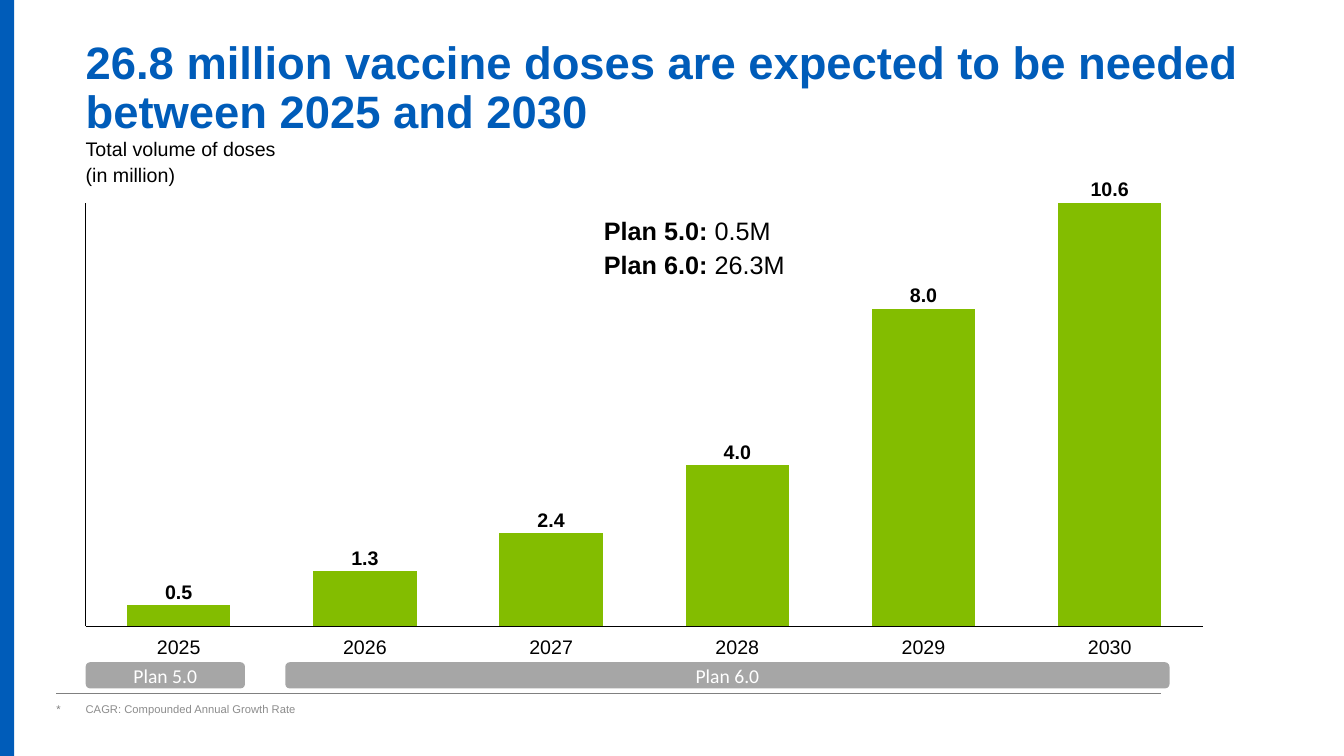
from lxml import etree
from pptx import Presentation
from pptx.chart.data import CategoryChartData
from pptx.dml.color import RGBColor
from pptx.enum.chart import XL_CHART_TYPE, XL_TICK_LABEL_POSITION, XL_TICK_MARK
from pptx.enum.shapes import MSO_CONNECTOR, MSO_SHAPE
from pptx.enum.text import MSO_ANCHOR, MSO_AUTO_SIZE, PP_ALIGN
from pptx.oxml import parse_xml
from pptx.oxml.ns import nsdecls, qn
from pptx.util import Inches, Pt

TITLE = "26.8 million vaccine doses are expected to be needed between 2025 and 2030"
AXIS_TITLE = ["Total volume of doses", "(in million)"]
# Year, doses shown, bar height as a share of the axis
DOSES = [
    ("2025", "0.5", 5),
    ("2026", "1.3", 13),
    ("2027", "2.4", 22),
    ("2028", "4.0", 38),
    ("2029", "8.0", 75),
    ("2030", "10.6", 100),
]
TOTALS = [("Plan 5.0: ", "0.5M"), ("Plan 6.0: ", "26.3M")]
PERIODS = [("Plan 5.0", 0.85, 1.58), ("Plan 6.0", 2.83, 8.77)]
FOOTNOTE = ("*", "CAGR: Compounded Annual Growth Rate")

CHART = (0.76, 1.92, 11.26, 4.38)
PLOT = {"x": 0.008, "y": 0.021, "w": 0.984, "h": 0.959}
LABEL_H = 0.26
LABEL_W = 0.6


class Theme:
    blue = RGBColor.from_string("005CB9")
    green = RGBColor.from_string("83BD00")
    black = RGBColor.from_string("000000")
    white = RGBColor.from_string("FFFFFF")
    pill = RGBColor.from_string("A6A6A6")
    rule = RGBColor.from_string("808080")
    note = RGBColor.from_string("8C8C8C")
    font, pill_font = "Arial", "Calibri"
    title, totals, label, small = 32.4, 18, 14, 8


def style(font, size, color, bold=False, name=Theme.font):
    font.name, font.size, font.bold = name, Pt(size), bold
    font.color.rgb = color


def add_text(slide, box, lines, size=Theme.label, color=Theme.black, bold=False,
             align=PP_ALIGN.LEFT, anchor=MSO_ANCHOR.TOP, spacing=1.1, top=0):
    """Add a text box; a line is a string or a (bold lead, plain rest) pair."""
    tf = slide.shapes.add_textbox(*map(Inches, box)).text_frame
    tf.word_wrap, tf.vertical_anchor = True, anchor
    tf.margin_left = tf.margin_right = tf.margin_bottom = 0
    tf.margin_top = Inches(top)
    for i, line in enumerate(lines):
        p = tf.paragraphs[0] if i == 0 else tf.add_paragraph()
        p.alignment, p.line_spacing = align, spacing
        style(p.font, size, color, bold)
        parts = [line] if isinstance(line, str) else line
        for j, part in enumerate(parts):
            r = p.add_run()
            r.text = part
            if len(parts) > 1:
                r.font.bold = j == 0


def add_block(slide, shape, box, color):
    sp = slide.shapes.add_shape(shape, *map(Inches, box))
    sp.shadow.inherit = False
    sp.fill.solid()
    sp.fill.fore_color.rgb = color
    sp.line.fill.background()
    return sp


def add_title(slide):
    title = slide.shapes.title
    title.left, title.top, title.width, title.height = map(Inches, (0.85, 0.4, 11.92, 0.65))
    tf = title.text_frame
    tf.text = TITLE
    tf.word_wrap, tf.auto_size = True, MSO_AUTO_SIZE.NONE
    tf.vertical_anchor = MSO_ANCHOR.TOP
    tf.margin_left = tf.margin_right = tf.margin_top = tf.margin_bottom = 0
    p = tf.paragraphs[0]
    p.alignment, p.line_spacing = PP_ALIGN.LEFT, 0.9
    style(p.font, Theme.title, Theme.blue, bold=True)


def add_footnote(slide):
    rule = slide.shapes.add_connector(
        MSO_CONNECTOR.STRAIGHT, *map(Inches, (0.56, 6.88, 11.52, 6.88)))
    rule.line.color.rgb, rule.line.width = Theme.rule, Pt(0.5)
    etree.SubElement(rule._element.spPr, qn("a:effectLst"))
    boxes = [(0.56, 6.95, 0.29, 0.15), (0.85, 6.95, 4.5, 0.15)]
    for box, text, color in zip(boxes, FOOTNOTE, (Theme.rule, Theme.note)):
        add_text(slide, box, [text], Theme.small, color,
                 anchor=MSO_ANCHOR.BOTTOM, spacing=1.0)


def add_dose_chart(slide):
    data = CategoryChartData()
    data.categories = [str(n) for n in range(1, len(DOSES) + 1)]
    data.add_series("Series 1", [share for _, _, share in DOSES])
    chart = slide.shapes.add_chart(
        XL_CHART_TYPE.COLUMN_STACKED, *map(Inches, CHART), data).chart
    chart.has_legend = chart.has_title = False
    style(chart.font, 10, Theme.black, name=Theme.pill_font)

    plot = chart.plots[0]
    plot.gap_width, plot.overlap, plot.vary_by_categories = 80, 100, False
    fill = plot.series[0].format.fill
    fill.solid()
    fill.fore_color.rgb = Theme.green

    for axis in (chart.category_axis, chart.value_axis):
        axis.has_major_gridlines = False
        axis.major_tick_mark = axis.minor_tick_mark = XL_TICK_MARK.NONE
        axis.tick_label_position = XL_TICK_LABEL_POSITION.NONE
        axis.format.line.color.rgb = Theme.black
        axis.format.line.width = Pt(0.75)
    chart.value_axis.minimum_scale, chart.value_axis.maximum_scale = 0, 100

    plot_area = chart._chartSpace.chart.plotArea
    for old in plot_area.findall(qn("c:layout")):
        plot_area.remove(old)
    modes = '<c:layoutTarget val="inner"/><c:xMode val="edge"/><c:yMode val="edge"/>'
    sizes = "".join(f'<c:{key} val="{val}"/>' for key, val in PLOT.items())
    plot_area.insert(0, parse_xml(
        f'<c:layout {nsdecls("c")}><c:manualLayout>{modes}{sizes}</c:manualLayout></c:layout>'))


def add_bar_labels(slide):
    left, top, width, height = CHART
    plot_left, plot_h = left + PLOT["x"] * width, PLOT["h"] * height
    base = top + PLOT["y"] * height + plot_h
    slot = PLOT["w"] * width / len(DOSES)
    for i, (year, doses, share) in enumerate(DOSES):
        label_left = plot_left + (i + 0.5) * slot - LABEL_W / 2
        label_top = base - plot_h * share / 100 - LABEL_H - 0.02
        add_text(slide, (label_left, base + 0.06, LABEL_W, LABEL_H), [year],
                 align=PP_ALIGN.CENTER)
        add_text(slide, (label_left, label_top, LABEL_W, LABEL_H), [doses],
                 bold=True, align=PP_ALIGN.CENTER, anchor=MSO_ANCHOR.BOTTOM)


def add_periods(slide):
    for name, left, width in PERIODS:
        sp = add_block(slide, MSO_SHAPE.ROUNDED_RECTANGLE,
                       (left, 6.57, width, LABEL_H), Theme.pill)
        tf = sp.text_frame
        tf.text, tf.vertical_anchor = name, MSO_ANCHOR.MIDDLE
        p = tf.paragraphs[0]
        p.alignment = PP_ALIGN.CENTER
        style(p.font, Theme.label, Theme.white, name=Theme.pill_font)


def main():
    prs = Presentation()
    prs.slide_width, prs.slide_height = Inches(13.33), Inches(7.5)
    slide = prs.slides.add_slide(prs.slide_layouts[5])
    add_block(slide, MSO_SHAPE.RECTANGLE, (0, 0, 0.14, 7.5), Theme.blue)
    add_title(slide)
    add_footnote(slide)
    add_dose_chart(slide)
    add_text(slide, (0.85, 1.34, 2.2, 0.51), AXIS_TITLE, anchor=MSO_ANCHOR.BOTTOM)
    add_bar_labels(slide)
    add_periods(slide)
    add_text(slide, (5.99, 2.01, 2.2, 0.76), TOTALS, Theme.totals, top=0.1)
    prs.save("out.pptx")


if __name__ == "__main__":
    main()
